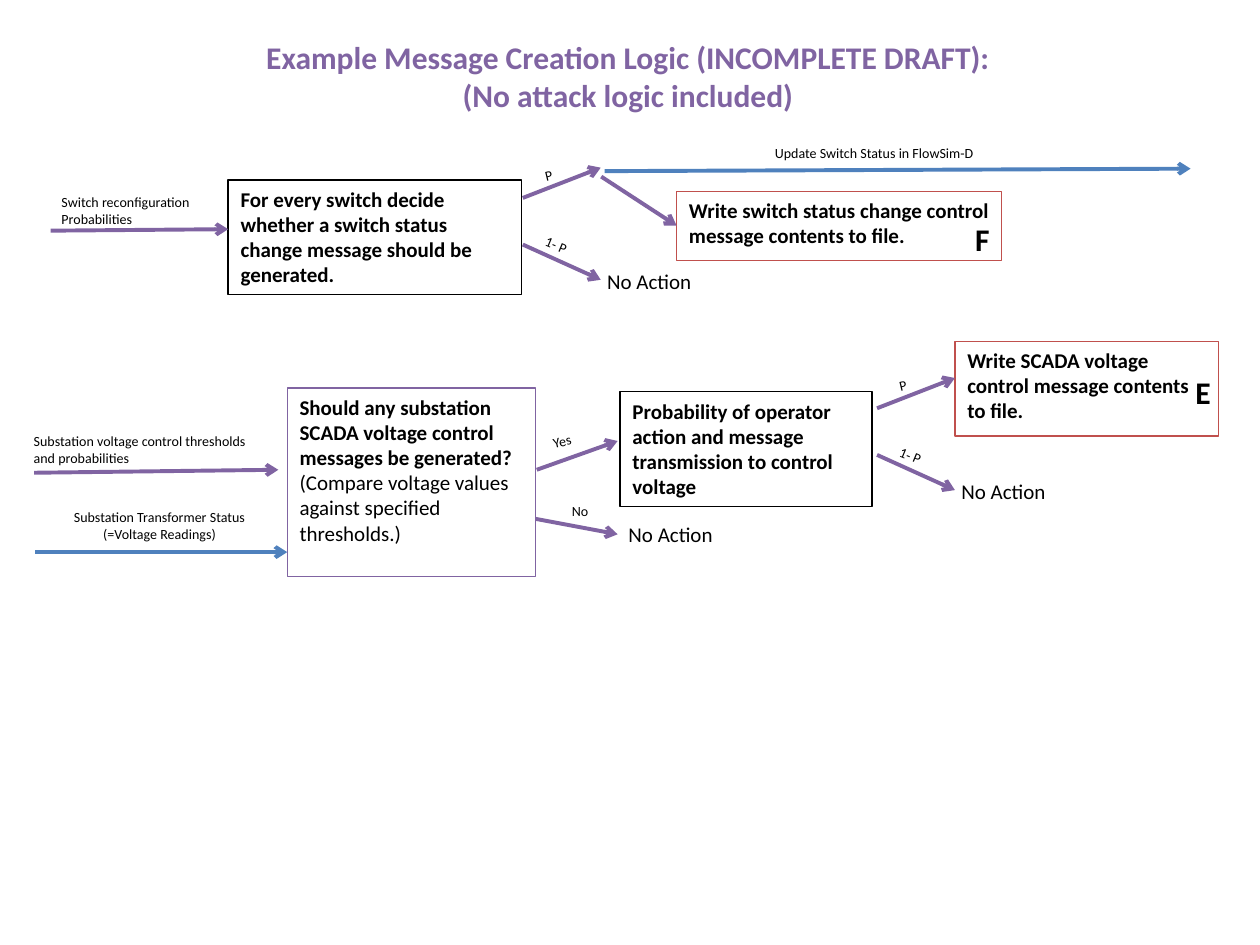
from dataclasses import dataclass

import pptx
import pptx.dml.color
import pptx.enum.shapes
import pptx.enum.text
import pptx.oxml
import pptx.oxml.ns
import pptx.util
from pptx.util import Cm, Pt

COLORS = {"purple": "8064A2", "blue": "4F81BD", "red": "C0504D", "black": "000000"}
LEFT = pptx.enum.text.PP_ALIGN.LEFT
CENTER = pptx.enum.text.PP_ALIGN.CENTER
FORMATS = {
    "title": {"size": Pt(18), "bold": True},
    "strong": {"size": Pt(12), "bold": True},
    "plain": {"size": Pt(12), "bold": False},
    "small": {"size": Pt(8), "bold": False},
}


@dataclass
class Para:
    text: str
    style: str = "small"
    align: int = LEFT
    color: str = "black"


@dataclass
class Box:
    x: float
    y: float
    w: float
    h: float
    border: str
    paras: list[Para]


@dataclass
class Label:
    x: float
    y: float
    w: float
    h: float
    paras: list[Para]
    wrap: bool = True
    angle: float = 0


@dataclass
class Arrow:
    x1: float
    y1: float
    x2: float
    y2: float
    color: str = "purple"


def rgb(name: str) -> pptx.dml.color.RGBColor:
    return pptx.dml.color.RGBColor.from_string(COLORS[name])


def write(tf, paras: list[Para]) -> None:
    tf.vertical_anchor = pptx.enum.text.MSO_ANCHOR.TOP
    for i, para in enumerate(paras):
        p = tf.add_paragraph() if i else tf.paragraphs[0]
        p.alignment = para.align
        r = p.add_run()
        r.text = para.text
        r.font.name = "Calibri"
        r.font.color.rgb = rgb(para.color)
        for name, value in FORMATS[para.style].items():
            setattr(r.font, name, value)


def draw_box(slide, box: Box) -> None:
    sp = slide.shapes.add_shape(pptx.enum.shapes.MSO_SHAPE.RECTANGLE,
                                Cm(box.x), Cm(box.y), Cm(box.w), Cm(box.h))
    sp.shadow.inherit = False
    sp.fill.background()
    sp.line.color.rgb = rgb(box.border)
    sp.line.width = Pt(0.75)
    sp.text_frame.word_wrap = True
    write(sp.text_frame, box.paras)


def draw_label(slide, label: Label) -> None:
    sp = slide.shapes.add_textbox(Cm(label.x), Cm(label.y), Cm(label.w), Cm(label.h))
    sp.rotation = label.angle
    tf = sp.text_frame
    tf.word_wrap = label.wrap
    tf.auto_size = pptx.enum.text.MSO_AUTO_SIZE.SHAPE_TO_FIT_TEXT
    write(tf, label.paras)


def draw_arrow(slide, arrow: Arrow) -> None:
    cxn = slide.shapes.add_connector(pptx.enum.shapes.MSO_CONNECTOR.STRAIGHT,
                                     Cm(arrow.x1), Cm(arrow.y1), Cm(arrow.x2), Cm(arrow.y2))
    cxn.line.color.rgb = rgb(arrow.color)
    cxn.line.width = Pt(2.25)
    ns = pptx.oxml.ns.nsdecls("a")
    cxn.line._get_or_add_ln().append(pptx.oxml.parse_xml(f'<a:tailEnd {ns} type="arrow"/>'))
    cxn._element.spPr.append(pptx.oxml.parse_xml(f"<a:effectLst {ns}/>"))


def no_action(x: float, y: float) -> Label:
    return Label(x, y, 2.24, 0.76, [Para("No Action", "plain")], wrap=False)


def draw_fork(slide, x: float, y: float) -> None:
    """Draw the P and 1- P branches, starting at the upper arrow's tail."""
    draw_arrow(slide, Arrow(x, y, x + 1.57, y - 0.61))
    draw_arrow(slide, Arrow(x, y + 0.94, x + 1.57, y + 1.65))
    draw_label(slide, Label(x + 0.2, y - 0.76, 0.66, 0.61, [Para("P")], False, -13.3))
    draw_label(slide, Label(x + 0.2, y + 0.66, 0.97, 0.61, [Para("1- P")], False, 22.6))
    draw_label(slide, no_action(x + 1.45, y + 1.3))


BOXES = [
    Box(4.6, 3.63, 5.92, 2.31, "black", [Para(
        "For every switch decide whether a switch status change message should be generated.",
        "strong")]),
    Box(13.64, 3.86, 6.55, 1.4, "red", [Para(
        "Write switch status change control message contents to file.", "strong")]),
    Box(5.79, 7.82, 5, 3.81, "purple", [
        Para("Should any substation SCADA voltage control messages be generated?", "strong"),
        Para("(Compare voltage values against specified thresholds.)", "plain")]),
    Box(12.5, 7.9, 5.08, 2.31, "black", [Para(
        "Probability of operator action and message transmission to control voltage",
        "strong")]),
    Box(19.25, 6.88, 5.31, 1.91, "red", [Para(
        "Write SCADA voltage control message contents to file.", "strong")]),
]

ARROWS = [
    Arrow(1.02, 4.65, 4.6, 4.62),
    Arrow(12.12, 3.56, 13.64, 4.55),
    Arrow(12.19, 3.45, 24, 3.4, "blue"),
    Arrow(0.69, 9.53, 5.61, 9.47),
    Arrow(0.71, 11.13, 5.79, 11.13, "blue"),
    Arrow(10.82, 9.47, 12.45, 8.89),
    Arrow(10.8, 10.46, 12.45, 10.77),
]

LABELS = [
    Label(0.99, 3.78, 3.45, 0.94, [Para("Switch reconfiguration Probabilities")]),
    Label(15.37, 2.79, 6.88, 0.61, [Para("Update Switch Status in FlowSim-D")]),
    Label(0.43, 8.59, 5.05, 0.94,
          [Para("Substation voltage control thresholds and probabilities")]),
    Label(1.24, 10.13, 4.04, 0.94, [Para("Substation Transformer Status"),
                                    Para("(=Voltage Readings)", align=CENTER)], wrap=False),
    Label(10.9, 8.59, 0.91, 0.61, [Para("Yes")], False, -13.3),
    Label(11.28, 10.01, 0.91, 0.61, [Para("No")]),
    no_action(12.42, 10.39),
    Label(19.41, 4.32, 0.89, 1.02, [Para("F", "title")]),
    Label(23.85, 7.39, 0.89, 1.02, [Para("E", "title")]),
]

FORKS = [(10.54, 3.99), (17.68, 8.23)]

prs = pptx.Presentation()
prs.slide_width, prs.slide_height = Cm(25.4), Cm(19.05)
slide = prs.slides.add_slide(prs.slide_layouts[5])

# Title
title = slide.shapes.title
title.left, title.top, title.width, title.height = Cm(0), Cm(0.64), Cm(25.32), Cm(1.8)
title.text_frame.auto_size = pptx.enum.text.MSO_AUTO_SIZE.NONE
write(title.text_frame, [
    Para("Example Message Creation Logic (INCOMPLETE DRAFT):", "title", CENTER, "purple"),
    Para("(No attack logic included)", "title", CENTER, "purple"),
])

# Flow: boxes, arrows, probability forks, then labels on top
for box in BOXES:
    draw_box(slide, box)
for arrow in ARROWS:
    draw_arrow(slide, arrow)
for x, y in FORKS:
    draw_fork(slide, x, y)
for label in LABELS:
    draw_label(slide, label)

prs.save("out.pptx")
